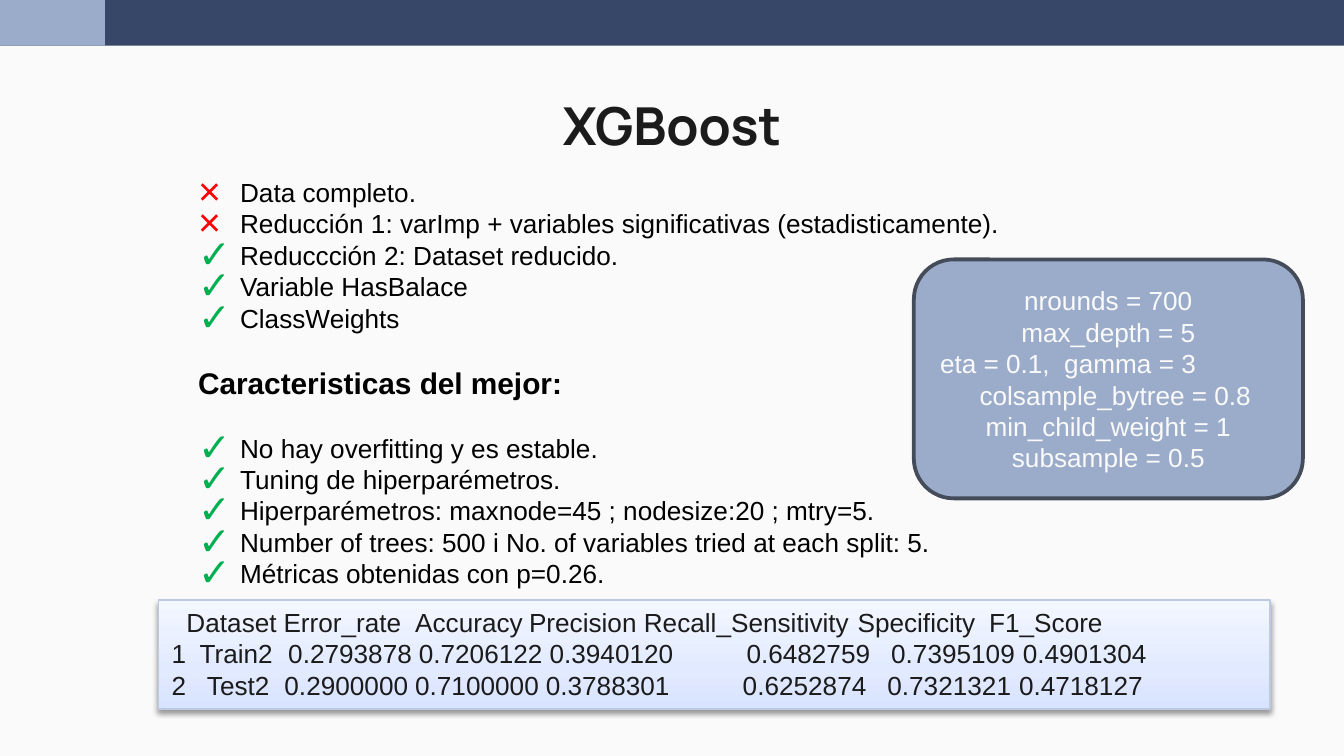
from copy import deepcopy
from dataclasses import dataclass

from lxml import etree
from pptx import Presentation
from pptx import util as u
from pptx.dml.color import RGBColor
from pptx.enum import shapes, text
from pptx.oxml import ns


@dataclass(frozen=True)
class Theme:
    background: str = "FAFAFA"
    navy: str = "374768"
    steel: str = "9BACCA"
    ink: str = "1B1B1B"
    black: str = "000000"
    frame: str = "444B59"
    edge: str = "BDC8E1"
    cross: str = "FF0000"
    check: str = "00B050"
    panel: tuple = ((0, "D7E3FF"), (0.35, "E2EAFF"), (1, "F3F7FF"))
    heading_font: str = "Manrope"
    body_font: str = "Arial"
    title_size: int = 28
    subtitle_size: int = 16
    body_size: int = 14


THEME = Theme()
CENTER = text.PP_ALIGN.CENTER
LEFT = text.PP_ALIGN.LEFT


def rgb(value):
    return RGBColor.from_string(value)


def add_xml(parent, tag, **attributes):
    return etree.SubElement(parent, ns.qn(tag), attributes)


def write(frame, content, size=THEME.body_size, color=THEME.ink, font=THEME.body_font,
          bold=False, align=LEFT, before=0, after=0, left=0, right=0, bullet=None, tabs=()):
    first = not frame.text
    paragraph = frame.paragraphs[0] if first else frame.add_paragraph()
    paragraph.alignment = align
    paragraph.space_before, paragraph.space_after = u.Pt(before), u.Pt(after)
    properties = paragraph._p.get_or_add_pPr()
    if not tabs:
        properties.set("marL", str(u.Pt(left)))
        properties.set("marR", str(u.Pt(right)))
        properties.set("indent", str(u.Pt(-left if bullet else 0)))
    if bullet:
        symbol, bullet_color = bullet
        add_xml(add_xml(properties, "a:buClr"), "a:srgbClr", val=bullet_color)
        add_xml(properties, "a:buSzPct", val="150000")
        add_xml(properties, "a:buFont", typeface=THEME.body_font)
        add_xml(properties, "a:buChar", char=symbol)
    else:
        add_xml(properties, "a:buNone")
    if tabs:
        stops = add_xml(properties, "a:tabLst")
        for stop in tabs:
            add_xml(stops, "a:tab", pos=str(u.Pt(stop)), algn="l")
    run = paragraph.add_run()
    run.text = content
    run.font.name, run.font.size, run.font.bold = font, u.Pt(size), bold
    run.font.color.rgb = rgb(color)


class SlideBuilder:
    def __init__(self, presentation, theme):
        self.theme = theme
        self.slide = presentation.slides.add_slide(presentation.slide_layouts[1])
        self.slide.background.fill.solid()
        self.slide.background.fill.fore_color.rgb = rgb(theme.background)

    def place(self, shape, box):
        shape.left, shape.top, shape.width, shape.height = map(u.Pt, box)

    def prepare(self, frame, anchor=text.MSO_ANCHOR.TOP, inset=None):
        frame.word_wrap = True
        frame.auto_size = text.MSO_AUTO_SIZE.NONE
        frame.vertical_anchor = anchor
        if inset is not None:
            frame.margin_left = frame.margin_right = u.Pt(inset)
            frame.margin_top = frame.margin_bottom = u.Pt(inset)
        return frame

    def title(self, content, box):
        shape = self.slide.shapes.title
        self.place(shape, box)
        write(self.prepare(shape.text_frame, inset=7.2), content, size=self.theme.title_size,
              font=self.theme.heading_font, bold=True, align=CENTER)

    def body(self, box):
        shape = self.slide.placeholders[1]
        self.place(shape, box)
        return self.prepare(shape.text_frame)

    def block(self, box, fill=None, line=None, width=0, kind=shapes.MSO_SHAPE.RECTANGLE):
        shape = self.slide.shapes.add_shape(kind, *map(u.Pt, box))
        shape.shadow.inherit = False
        if fill:
            shape.fill.solid()
            shape.fill.fore_color.rgb = rgb(fill)
        if line:
            shape.line.color.rgb = rgb(line)
            shape.line.width = u.Pt(width)
        else:
            shape.line.fill.background()
        return shape

    def card(self, box, lines):
        shape = self.block(box, self.theme.steel, self.theme.frame, 2,
                           shapes.MSO_SHAPE.ROUNDED_RECTANGLE)
        frame = self.prepare(shape.text_frame, text.MSO_ANCHOR.MIDDLE)
        for content, indents in lines:
            write(frame, content, color=self.theme.background, align=CENTER, **indents)

    def panel(self, box, rows):
        shape = self.block(box, line=self.theme.edge, width=0.75)
        shape.fill.gradient()
        shape.fill.gradient_angle = 90
        stop_list = shape._element.spPr.find(".//" + ns.qn("a:gsLst"))
        stop_list.append(deepcopy(stop_list[-1]))
        for stop, (position, color) in zip(shape.fill.gradient_stops, self.theme.panel):
            stop.position = position
            stop.color.rgb = rgb(color)
        effects = shape._element.spPr.find(ns.qn("a:effectLst"))
        shadow = add_xml(effects, "a:outerShdw", blurRad=str(u.Pt(3.1)), dist=str(u.Pt(1.6)),
                         dir="5400000", rotWithShape="0")
        color = add_xml(shadow, "a:srgbClr", val=self.theme.black)
        add_xml(color, "a:alpha", val="38000")
        frame = self.prepare(shape.text_frame)
        for cells, tabs in rows:
            write(frame, "\t".join(cells), tabs=tabs)


def main():
    presentation = Presentation()
    presentation.slide_width, presentation.slide_height = u.Pt(720), u.Pt(405)
    builder = SlideBuilder(presentation, THEME)
    builder.block((0, 0, 720, 24.5), THEME.navy)
    builder.block((0, 0, 56.2, 24.5), THEME.steel)
    builder.title("XGBoost", (56.4, 42.5, 607, 45.4))

    cross, check = ("×", THEME.cross), ("✓", THEME.check)
    trials = [
        ("Data completo.", cross),
        ("Reducción 1: varImp + variables significativas (estadisticamente).", cross),
        ("Reduccción 2: Dataset reducido.", check),
        ("Variable HasBalace", check),
        ("ClassWeights", check),
    ]
    features = [
        "No hay overfitting y es estable.",
        "Tuning de hiperparémetros.",
        "Hiperparémetros: maxnode=45 ; nodesize:20 ; mtry=5.",
        "Number of trees: 500 i No. of variables tried at each split: 5.",
        "Métricas obtenidas con p=0.26.",
    ]
    frame = builder.body((98.9, 90.9, 522, 247))
    for content, bullet in trials:
        write(frame, content, color=THEME.black, left=22.5, bullet=bullet)
    write(frame, "Caracteristicas del mejor:", size=THEME.subtitle_size, color=THEME.black,
          bold=True, before=16.8, after=16.8)
    for content in features:
        write(frame, content, color=THEME.black, left=22.5, bullet=check)

    header_tabs = (8, 60, 130.5, 191.5, 253, 367.5, 438)
    train_tabs = (15, 62.5, 132.5, 202.5, 308, 385.5, 456)
    test_tabs = (19, 60.5, 130.5, 200.5, 306, 383.5, 454)
    builder.panel((84.8, 321.4, 595.6, 58.5), [
        (("", "Dataset", "Error_rate", "Accuracy", "Precision", "Recall_Sensitivity",
          "Specificity", "F1_Score"), header_tabs),
        (("1", "Train2", "0.2793878", "0.7206122", "0.3940120", "0.6482759",
          "0.7395109", "0.4901304"), train_tabs),
        (("2", "Test2", "0.2900000", "0.7100000", "0.3788301", "0.6252874",
          "0.7321321", "0.4718127"), test_tabs),
    ])
    builder.card((489.6, 139, 208.4, 128), [
        ("nrounds = 700", {}),
        ("max_depth = 5", {}),
        ("eta = 0.1,  gamma = 3", {"right": 43}),
        ("colsample_bytree = 0.8", {"left": 7.5}),
        ("min_child_weight = 1", {}),
        ("subsample = 0.5", {}),
    ])
    presentation.save("out.pptx")


if __name__ == "__main__":
    main()
